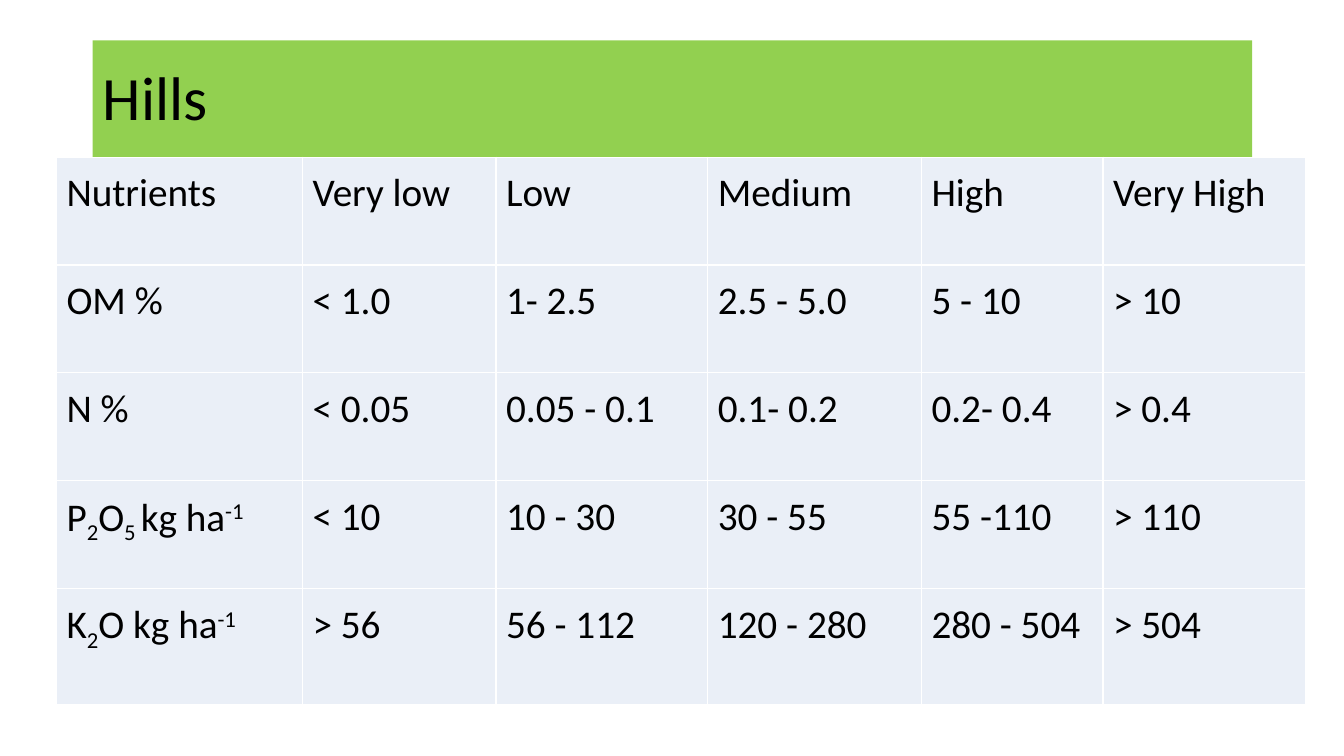
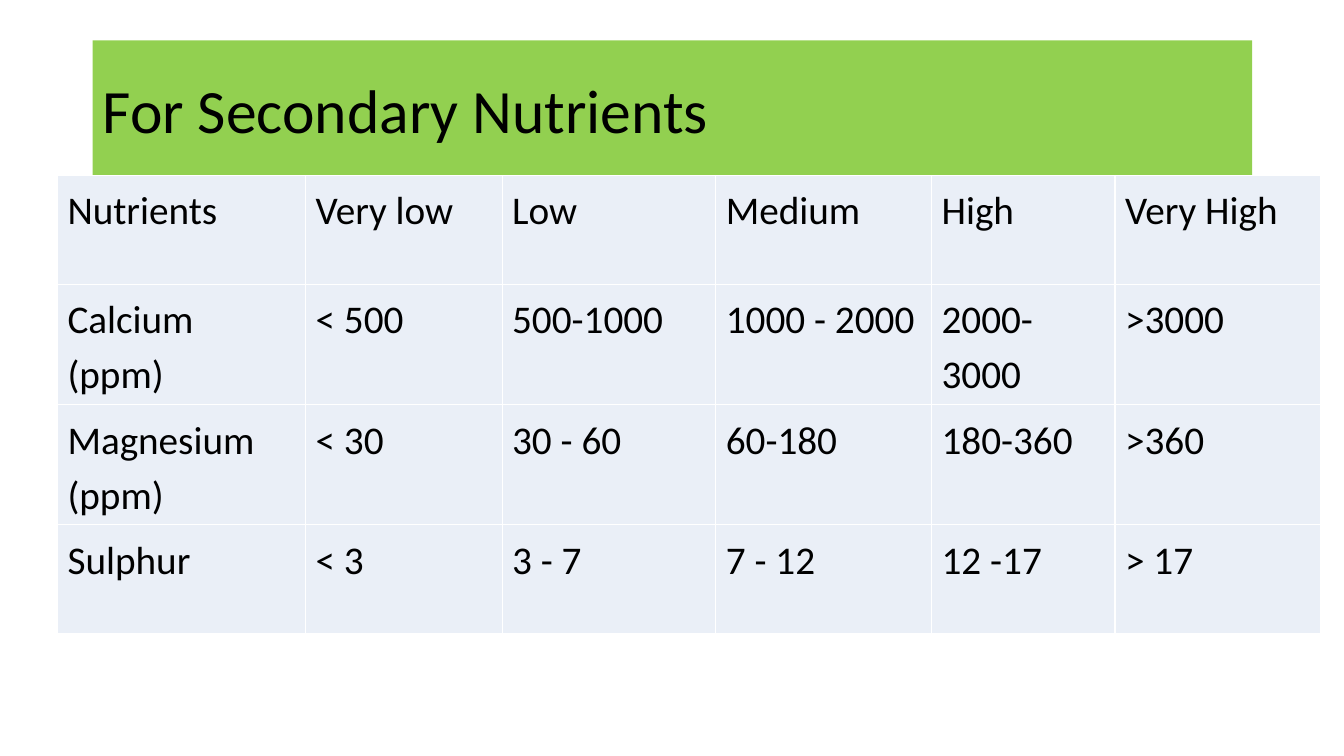
import pptx
import pptx.dml.color
import pptx.enum.shapes
import pptx.enum.text
import pptx.oxml
import pptx.oxml.ns
import pptx.util
from pptx.util import Inches

# Shared look
GREEN = pptx.dml.color.RGBColor(0x92, 0xD0, 0x50)
PALE_BLUE = pptx.dml.color.RGBColor(0xEA, 0xEF, 0xF7)
BLACK = pptx.dml.color.RGBColor(0, 0, 0)
WHITE = pptx.dml.color.RGBColor(0xFF, 0xFF, 0xFF)

TITLE_FONT = {"name": "Calibri", "size": pptx.util.Pt(44), "bold": False}
CELL_FONT = {"name": "Calibri", "size": pptx.util.Pt(28), "bold": False}
TITLE_PARA = {"alignment": pptx.enum.text.PP_ALIGN.LEFT, "line_spacing": 0.9}
CELL_PARA = {"line_spacing": 1.15, "space_after": pptx.util.Pt(10)}
TITLE_FRAME = {"word_wrap": True,
               "vertical_anchor": pptx.enum.text.MSO_ANCHOR.MIDDLE}
PLAIN_TABLE = {"first_row": False, "horz_banding": False}

# Baseline shifts, in thousandths of a percent
SUB, SUP = -25000, 30000

# Content: a cell is a string or a list of (text, baseline) runs
HEADER = ["Nutrients", "Very low", "Low", "Medium", "High", "Very High"]
PHOSPHATE = [("P", 0), ("2", SUB), ("O", 0), ("5 ", SUB), ("kg ha", 0), ("-1", SUP)]
POTASH = [("K", 0), ("2", SUB), ("O kg ha", 0), ("-1", SUP)]

SLIDES = [
    {
        "title": "Hills",
        "band_height": 1.19,
        "table_at": (0.56, 1.56),
        "cols": [2.44, 1.92, 2.1, 2.12, 1.8, 2.01],
        "row_heights": [1.07, 1.07, 1.07, 1.07, 1.15],
        "rows": [
            HEADER,
            ["OM %", "< 1.0", "1- 2.5", "2.5 - 5.0", "5 - 10", "> 10"],
            ["N %", "< 0.05", "0.05 - 0.1", "0.1- 0.2", "0.2- 0.4", "> 0.4"],
            [PHOSPHATE, "< 10", "10 - 30", "30 - 55", "55 -110", "> 110"],
            [POTASH, "> 56", "56 - 112", "120 - 280", "280 - 504", "> 504"],
        ],
    },
    {
        "title": "For Secondary Nutrients",
        "band_height": 1.45,
        "table_at": (0.57, 1.74),
        "cols": [2.46, 1.95, 2.12, 2.14, 1.82, 2.04],
        "row_heights": [1.08, 1.16, 1.16, 1.08],
        "rows": [
            HEADER,
            ["Calcium (ppm)", "< 500", "500-1000", "1000 - 2000", "2000-3000", ">3000"],
            ["Magnesium (ppm)", "< 30", "30 - 60", "60-180", "180-360", ">360"],
            ["Sulphur", "< 3", "3 - 7", "7 - 12", "12 -17", "> 17"],
        ],
    },
]


def apply(obj, values):
    for name, value in values.items():
        setattr(obj, name, value)


def write(tf, content, para, font):
    """Fill the first paragraph of a text frame with formatted runs."""
    p = tf.paragraphs[0]
    apply(p, para)
    runs = [(content, 0)] if isinstance(content, str) else content
    for text, baseline in runs:
        r = p.add_run()
        r.text = text
        apply(r.font, font)
        r.font.color.rgb = BLACK
        if baseline:
            r._r.get_or_add_rPr().set("baseline", str(baseline))


def add_title_band(s, title, height):
    sp = s.shapes.add_shape(pptx.enum.shapes.MSO_SHAPE.RECTANGLE,
                            Inches(0.92), Inches(0.4), Inches(11.5), Inches(height))
    sp.shadow.inherit = False
    sp.fill.solid()
    sp.fill.fore_color.rgb = GREEN
    sp.line.fill.background()
    apply(sp.text_frame, TITLE_FRAME)
    write(sp.text_frame, title, TITLE_PARA, TITLE_FONT)


def add_borders(cell):
    tcPr = cell._tc.get_or_add_tcPr()
    for side in "LRTB":
        tcPr.append(pptx.oxml.parse_xml(
            f'<a:ln{side} {pptx.oxml.ns.nsdecls("a")} w="12700"><a:solidFill>'
            f'<a:srgbClr val="{WHITE}"/></a:solidFill></a:ln{side}>'))


def add_nutrient_table(s, at, cols, row_heights, rows):
    left, top = at
    frame = s.shapes.add_table(len(rows), len(cols), Inches(left), Inches(top),
                               Inches(sum(cols)), Inches(sum(row_heights)))
    table = frame.table
    apply(table, PLAIN_TABLE)
    for col, width in zip(table.columns, cols):
        col.width = Inches(width)
    for row, height, contents in zip(table.rows, row_heights, rows):
        row.height = Inches(height)
        for cell, content in zip(row.cells, contents):
            add_borders(cell)  # borders must precede the fill in the XML
            cell.fill.solid()
            cell.fill.fore_color.rgb = PALE_BLUE
            write(cell.text_frame, content, CELL_PARA, CELL_FONT)


def main():
    prs = pptx.Presentation()
    prs.slide_width, prs.slide_height = Inches(13.33), Inches(7.5)
    for data in SLIDES:
        s = prs.slides.add_slide(prs.slide_layouts[6])
        add_title_band(s, data["title"], data["band_height"])
        add_nutrient_table(s, data["table_at"], data["cols"],
                           data["row_heights"], data["rows"])
    prs.save("out.pptx")


if __name__ == "__main__":
    main()
